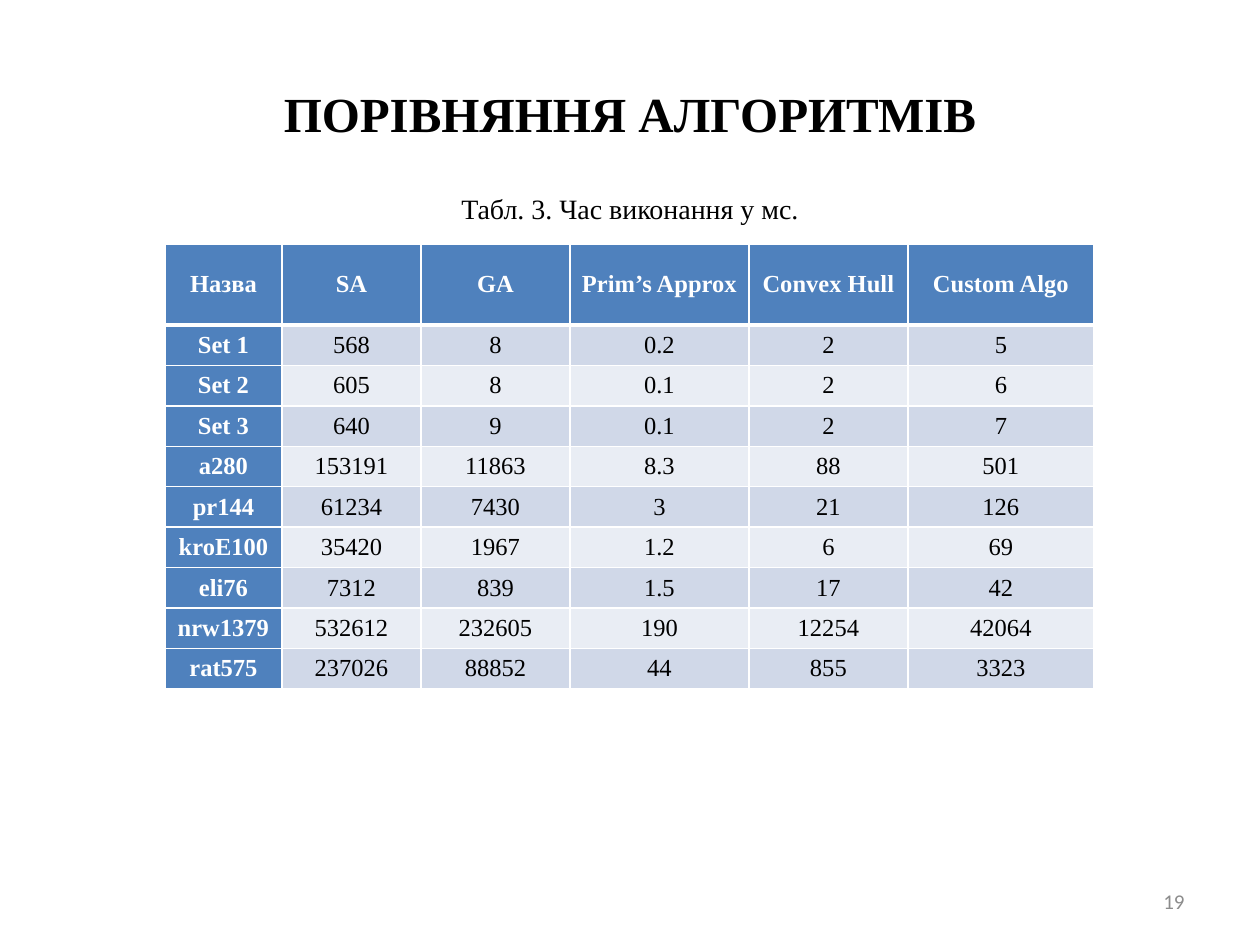
from lxml import etree
from pptx import Presentation, util as u
from pptx.dml.color import RGBColor
from pptx.enum import text
from pptx.oxml import ns

PX = u.Inches(1) / 126
BLACK = RGBColor(0, 0, 0)
WHITE = RGBColor(255, 255, 255)
GREY = RGBColor(0x8C, 0x8C, 0x8C)
BLUE = RGBColor(0x4F, 0x81, 0xBD)
BANDS = RGBColor(0xD0, 0xD8, 0xE8), RGBColor(0xE9, 0xED, 0xF4)
SERIF = "Times New Roman"
WIDTHS = 117, 139, 149, 179, 159, 186
HEAD = 81
ROWS = [
    ["Назва", "SA", "GA", "Prim’s Approx", "Convex Hull", "Custom Algo"],
    ["Set 1", "568", "8", "0.2", "2", "5"],
    ["Set 2", "605", "8", "0.1", "2", "6"],
    ["Set 3", "640", "9", "0.1", "2", "7"],
    ["a280", "153191", "11863", "8.3", "88", "501"],
    ["pr144", "61234", "7430", "3", "21", "126"],
    ["kroE100", "35420", "1967", "1.2", "6", "69"],
    ["eli76", "7312", "839", "1.5", "17", "42"],
    ["nrw1379", "532612", "232605", "190", "12254", "42064"],
    ["rat575", "237026", "88852", "44", "855", "3323"],
]


def px(num):
    """Turn pixels into EMU."""
    return u.Emu(round(num * PX))


def write(frame, words, size=14, font=SERIF, color=BLACK, bold=False,
          align=text.PP_ALIGN.CENTER):
    """Fill a text frame with one formatted line."""
    para = frame.paragraphs[0]
    para.alignment = align
    run = para.add_run()
    run.text = words
    run.font.size = u.Pt(size)
    run.font.name = font
    run.font.bold = bold
    run.font.color.rgb = color


def label(slide, box, words, **style):
    """Place a line of text centred vertically in a box."""
    frame = slide.shapes.add_textbox(*map(px, box)).text_frame
    frame.word_wrap = True
    frame.vertical_anchor = text.MSO_ANCHOR.MIDDLE
    write(frame, words, **style)


def edge(cell, sides):
    """Draw white cell borders from a mapping of side to points."""
    props = cell._tc.get_or_add_tcPr()
    for spot, (side, width) in enumerate(sides.items()):
        line = etree.Element(ns.qn("a:ln" + side), w=str(u.Pt(width)))
        fill = etree.SubElement(line, ns.qn("a:solidFill"))
        etree.SubElement(fill, ns.qn("a:srgbClr"), val=str(WHITE))
        props.insert(spot, line)


def grid(slide, box, rows, widths, head):
    """Place the timing table with a header row, a name column and bands."""
    table = slide.shapes.add_table(len(rows), len(widths), *map(px, box)).table
    table.first_row = table.horz_banding = False
    for col, width in zip(table.columns, widths):
        col.width = px(width)
    for row in table.rows:
        row.height = px((box[3] - head) / (len(rows) - 1))
    table.rows[0].height = px(head)
    for i, row in enumerate(rows):
        for j, words in enumerate(row):
            cell = table.cell(i, j)
            key = i == 0 or j == 0
            cell.fill.solid()
            cell.fill.fore_color.rgb = BLUE if key else BANDS[(i - 1) % 2]
            cell.vertical_anchor = text.MSO_ANCHOR.MIDDLE
            cell.margin_left = cell.margin_right = px(9)
            cell.margin_top = cell.margin_bottom = 0
            write(cell.text_frame, words, color=WHITE if key else BLACK, bold=key)
            edge(cell, {"L": 1, "R": 1, "T": 3 if i == 1 else 1,
                        "B": 3 if i == 0 else 1})


def main():
    """Build and save the slide."""
    deck = Presentation()
    deck.slide_width, deck.slide_height = px(1260), px(945)
    slide = deck.slides.add_slide(deck.slide_layouts[6])
    label(slide, (63, 34, 1134, 158), "ПОРІВНЯННЯ АЛГОРИТМІВ", size=28, bold=True)
    label(slide, (903, 876, 294, 50), "19", size=12, font="Calibri", color=GREY,
          align=text.PP_ALIGN.RIGHT)
    grid(slide, (165, 244, 929, 445), ROWS, WIDTHS, HEAD)
    label(slide, (422, 179, 416, 59), "Табл. 3. Час виконання у мс.", size=16)
    deck.save("out.pptx")


if __name__ == "__main__":
    main()
